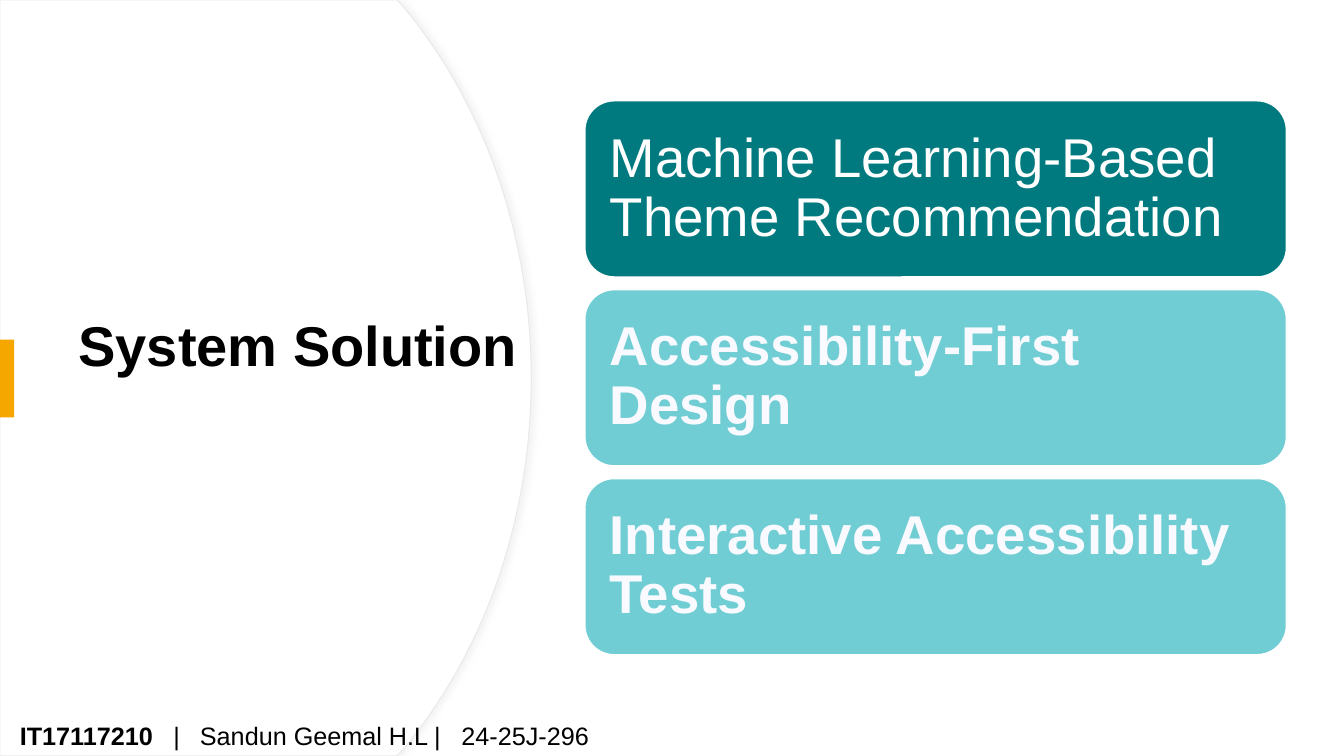
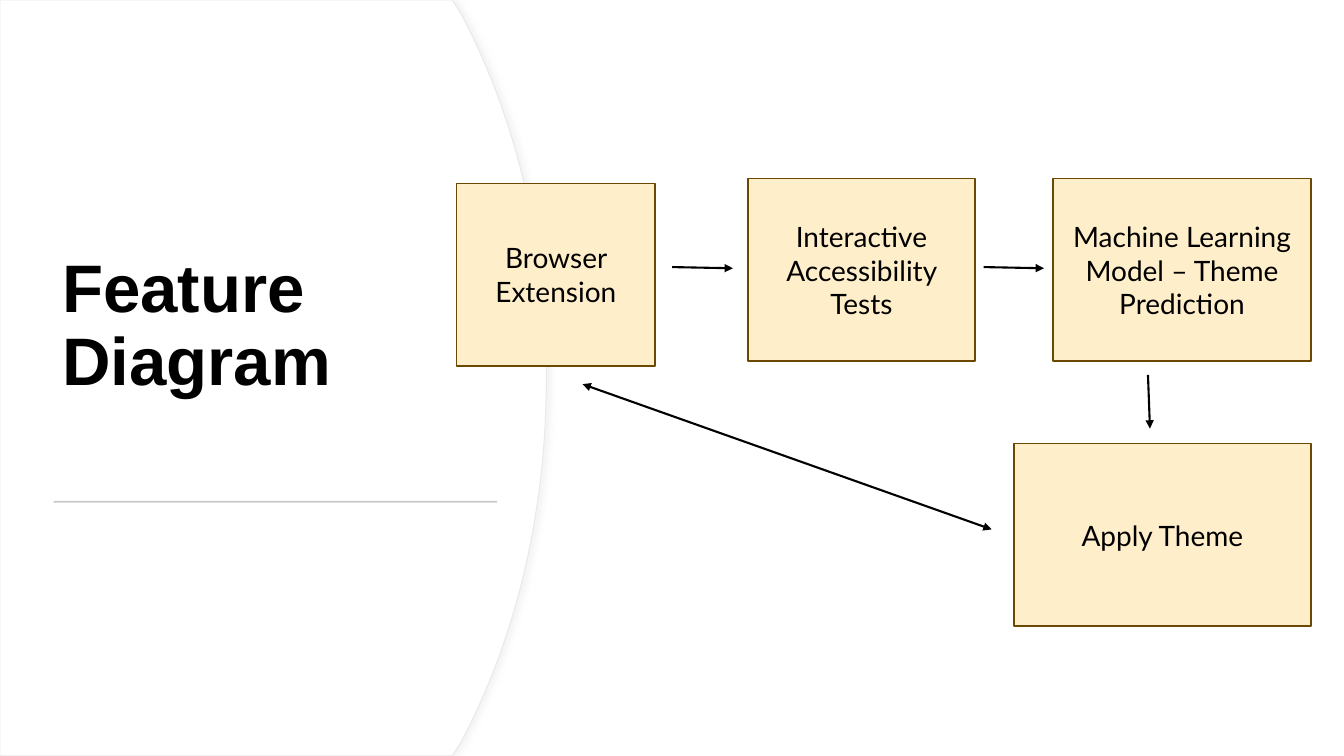
from dataclasses import dataclass
from typing import NamedTuple

from lxml.etree import SubElement
from pptx import Presentation
from pptx.dml.color import RGBColor
from pptx.enum.shapes import MSO_CONNECTOR, MSO_SHAPE
from pptx.enum.text import MSO_ANCHOR, PP_ALIGN
from pptx.oxml.ns import qn
from pptx.util import Cm, Pt

SLIDE_WIDTH, SLIDE_HEIGHT = 33.87, 19.05


@dataclass(frozen=True)
class Theme:
    heading_font: str = "Arial"
    diagram_font: str = "Lato"
    ink: str = "000000"
    paper: str = "FFFFFF"
    panel_edge: str = "E9E9E9"
    panel_shadow: str = "D9D9D9"
    accent: str = "F5A700"
    rule: str = "C9C9C9"
    card_dark: str = "007A7F"
    card_light: str = "70CDD3"
    card_soft_text: str = "F8FAFF"
    box_fill: str = "FFEECA"
    box_edge: str = "6B4900"
    title_size: int = 40
    large_title_size: int = 48
    card_size: int = 39
    box_size: int = 20
    footer_size: int = 18


THEME = Theme()


class Area(NamedTuple):
    """A rectangle in centimetres."""
    left: float
    top: float
    width: float
    height: float

    def lengths(self) -> list:
        return [Cm(value) for value in self]


class TextStyle(NamedTuple):
    font: str
    size: int
    color: str
    bold: bool = False


class Card(NamedTuple):
    text: str
    fill: str
    color: str
    bold: bool


class Box(NamedTuple):
    text: str
    left: float
    top: float
    width: float


class Arrow(NamedTuple):
    start: tuple
    end: tuple
    two_way: bool = False


class Arch(NamedTuple):
    """Upper half of a panel's curved side; the lower half mirrors it."""
    shoulder: tuple
    curve: tuple


CARDS = [
    Card("Machine Learning-Based Theme Recommendation",
         THEME.card_dark, THEME.paper, False),
    Card("Accessibility-First Design",
         THEME.card_light, THEME.card_soft_text, True),
    Card("Interactive Accessibility Tests",
         THEME.card_light, THEME.card_soft_text, True),
]
FIRST_CARD = Area(14.74, 2.54, 17.68, 4.44)
CARD_PITCH = 4.76

BOX_HEIGHT = 4.6
BOXES = [
    Box("Browser Extension", 11.51, 4.62, 5),
    Box("Interactive Accessibility Tests", 18.85, 4.5, 5.72),
    Box("Machine Learning Model – Theme Prediction", 26.54, 4.5, 6.5),
    Box("Apply Theme", 25.55, 11.18, 7.49),
]
ARROWS = [
    Arrow((16.94, 6.73), (18.47, 6.76)),
    Arrow((24.79, 6.73), (26.31, 6.76)),
    Arrow((28.93, 9.45), (28.98, 10.8)),
    Arrow((14.68, 9.68), (24.99, 13.34), two_way=True),
]

SOLUTION_ARCH = Arch(
    (10.01, 0), ((10.19, 0.2), (12.17, 2.59), (13.39, 5.89), (13.39, 9.53)))
DIAGRAM_ARCH = Arch(
    (11.4, 0), ((11.61, 0.33), (12.98, 2.9), (13.77, 6.07), (13.77, 9.53)))

FOOTER_TABS = (3.87, 4.54, 11.13)


def set_values(target, values: dict) -> None:
    for name, value in values.items():
        setattr(target, name, value)


def style_font(font, style: TextStyle) -> None:
    set_values(font, {"name": style.font, "size": Pt(style.size),
                      "bold": style.bold})
    font.color.rgb = RGBColor.from_string(style.color)


def paint(shape, fill: str, edge: str | None = None, edge_width: float = 1) -> None:
    shape.shadow.inherit = False
    shape.fill.solid()
    shape.fill.fore_color.rgb = RGBColor.from_string(fill)
    if edge is None:
        shape.line.fill.background()
    else:
        shape.line.color.rgb = RGBColor.from_string(edge)
        shape.line.width = Pt(edge_width)


def add_block(slide, kind, area: Area, fill: str, edge: str | None = None):
    shape = slide.shapes.add_shape(kind, *area.lengths())
    paint(shape, fill, edge)
    return shape


def write(shape, text: str, style: TextStyle, anchor=MSO_ANCHOR.MIDDLE,
          **paragraph_values):
    set_values(shape.text_frame, {"word_wrap": True, "vertical_anchor": anchor})
    paragraph = shape.text_frame.paragraphs[0]
    set_values(paragraph, paragraph_values)
    run = paragraph.add_run()
    run.text = text
    style_font(run.font, style)
    return paragraph


def curve_points(controls: tuple, steps: int = 40) -> list:
    """Sample a cubic Bezier curve."""
    points = []
    for step in range(steps + 1):
        t = step / steps
        weights = ((1 - t) ** 3, 3 * t * (1 - t) ** 2,
                   3 * t ** 2 * (1 - t), t ** 3)
        points.append(tuple(
            sum(weight * point[axis] for weight, point in zip(weights, controls))
            for axis in (0, 1)))
    return points


def add_arch_panel(slide, arch: Arch) -> None:
    upper = [arch.shoulder, *curve_points(arch.curve)]
    lower = [(x, SLIDE_HEIGHT - y) for x, y in reversed(upper[:-1])]
    outline = [*upper, *lower, (0, SLIDE_HEIGHT)]
    builder = slide.shapes.build_freeform(0, 0)
    builder.add_line_segments([(Cm(x), Cm(y)) for x, y in outline], close=True)
    panel = builder.convert_to_shape()
    paint(panel, THEME.paper, THEME.panel_edge, 0.75)
    effects = panel._element.spPr.find(qn("a:effectLst"))
    shadow = SubElement(effects, qn("a:outerShdw"), blurRad=str(Pt(4)),
                        dist=str(Pt(3)), dir="0", algn="l", rotWithShape="0")
    color = SubElement(shadow, qn("a:srgbClr"), val=THEME.panel_shadow)
    SubElement(color, qn("a:alpha"), val="30000")


def add_title(slide, text: str, area: Area, size: int, anchor) -> None:
    title = slide.shapes.add_textbox(*area.lengths())
    write(title, text, TextStyle(THEME.heading_font, size, THEME.ink, True),
          anchor, line_spacing=0.9)


def add_card(slide, card: Card, area: Area) -> None:
    shape = add_block(slide, MSO_SHAPE.ROUNDED_RECTANGLE, area,
                      card.fill, THEME.paper)
    margins = ("margin_left", "margin_top", "margin_right", "margin_bottom")
    set_values(shape.text_frame, dict.fromkeys(margins, Cm(0.41)))
    write(shape, card.text,
          TextStyle(THEME.heading_font, THEME.card_size, card.color, card.bold),
          alignment=PP_ALIGN.LEFT, line_spacing=0.9)


def add_footer(slide) -> None:
    footer = slide.shapes.add_textbox(*Area(0.25, 18.03, 18.92, 1.02).lengths())
    style = TextStyle(THEME.heading_font, THEME.footer_size, THEME.ink, True)
    paragraph = write(footer, "IT17117210", style)
    tabs = SubElement(paragraph._p.get_or_add_pPr(), qn("a:tabLst"))
    for position in FOOTER_TABS:
        SubElement(tabs, qn("a:tab"), pos=str(Cm(position)), algn="l")
    details = paragraph.add_run()
    details.text = "\t|\tSandun Geemal H.L |\t24-25J-296"
    style_font(details.font, style._replace(bold=False))


def add_box(slide, box: Box) -> None:
    area = Area(box.left, box.top, box.width, BOX_HEIGHT)
    shape = add_block(slide, MSO_SHAPE.RECTANGLE, area,
                      THEME.box_fill, THEME.box_edge)
    write(shape, box.text,
          TextStyle(THEME.diagram_font, THEME.box_size, THEME.ink),
          alignment=PP_ALIGN.CENTER)


def add_arrow(slide, arrow: Arrow) -> None:
    ends = [Cm(value) for value in (*arrow.start, *arrow.end)]
    connector = slide.shapes.add_connector(MSO_CONNECTOR.STRAIGHT, *ends)
    connector.line.color.rgb = RGBColor.from_string(THEME.ink)
    connector.line.width = Pt(1.5)
    properties = connector._element.spPr
    line = properties.find(qn("a:ln"))
    if arrow.two_way:
        SubElement(line, qn("a:headEnd"), type="triangle")
    SubElement(line, qn("a:tailEnd"), type="triangle")
    SubElement(properties, qn("a:effectLst"))


def build_solution_slide(slide) -> None:
    add_arch_panel(slide, SOLUTION_ARCH)
    add_title(slide, "System Solution", Area(1.73, 3.23, 12.17, 11.1),
              THEME.title_size, MSO_ANCHOR.MIDDLE)
    add_block(slide, MSO_SHAPE.RECTANGLE, Area(0, 8.56, 0.36, 1.96), THEME.accent)
    for index, card in enumerate(CARDS):
        top = FIRST_CARD.top + index * CARD_PITCH
        add_card(slide, card, FIRST_CARD._replace(top=top))
    add_footer(slide)


def build_diagram_slide(slide) -> None:
    add_arch_panel(slide, DIAGRAM_ARCH)
    add_title(slide, "Feature Diagram", Area(1.32, 3.12, 11.18, 7.08),
              THEME.large_title_size, MSO_ANCHOR.BOTTOM)
    add_block(slide, MSO_SHAPE.RECTANGLE, Area(1.35, 12.62, 11.18, 0.05), THEME.rule)
    for box in BOXES:
        add_box(slide, box)
    for arrow in ARROWS:
        add_arrow(slide, arrow)


def main() -> None:
    presentation = Presentation()
    set_values(presentation, {"slide_width": Cm(SLIDE_WIDTH),
                              "slide_height": Cm(SLIDE_HEIGHT)})
    blank_layout = presentation.slide_layouts[6]
    for build in (build_solution_slide, build_diagram_slide):
        build(presentation.slides.add_slide(blank_layout))
    presentation.save("out.pptx")


if __name__ == "__main__":
    main()
